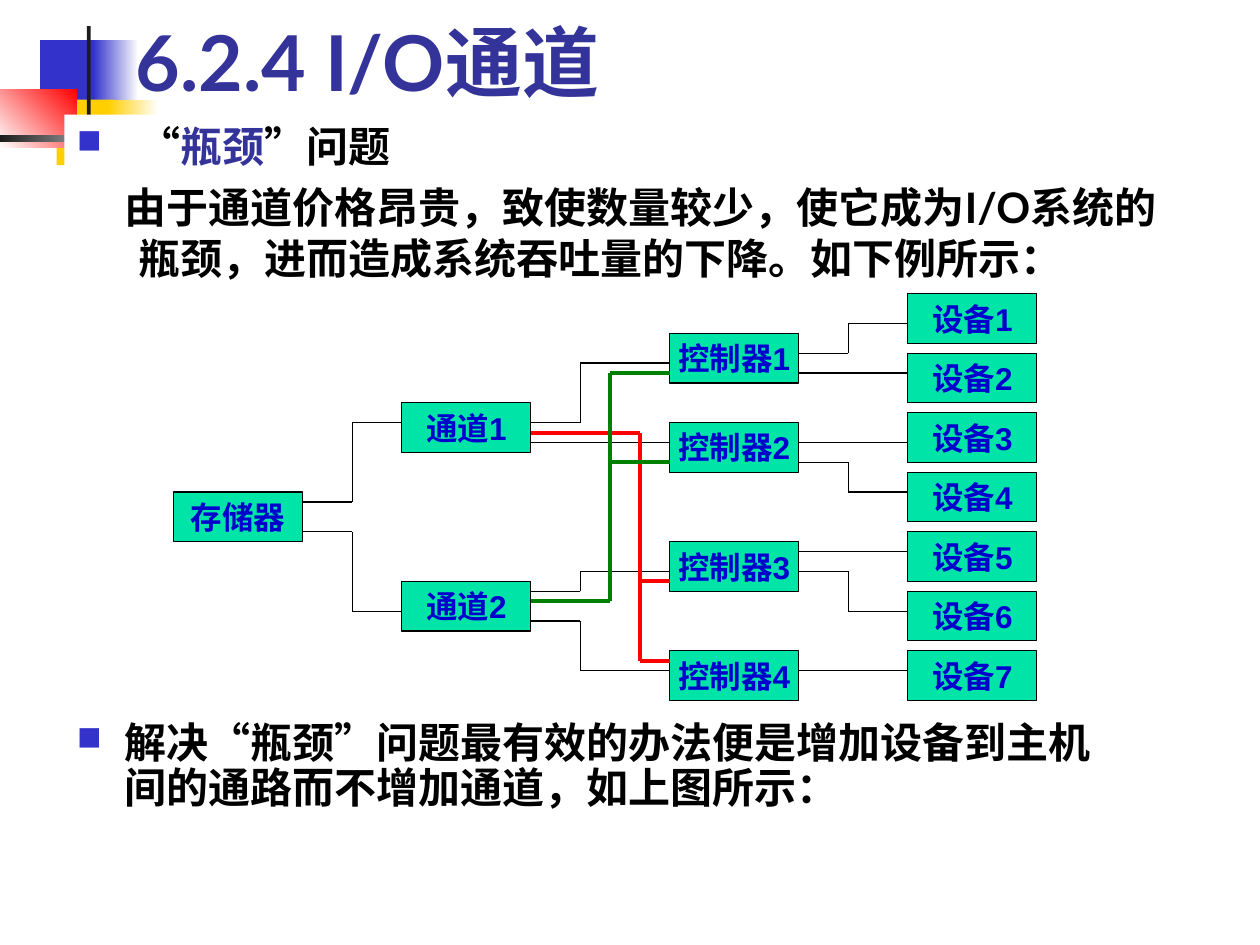
from itertools import pairwise

from lxml.etree import SubElement
from pptx import Presentation
from pptx.dml.color import RGBColor
from pptx.enum.shapes import MSO_CONNECTOR, MSO_SHAPE
from pptx.enum.text import MSO_ANCHOR, PP_ALIGN
from pptx.oxml.ns import qn
from pptx.util import Cm, Pt

# Content: lengths in cm, diagram positions in grid steps
BLUE, NAVY, WHITE, BLACK = "3333CC", "333399", "FFFFFF", "000000"
GOLD, RED, GREEN, CHARCOAL = "FFCF01", "FF0000", "008000", "1C1C1C"
BOX_FILL, BOX_TEXT = "00E4A8", "0000CC"

# left, top, width, height, colours (two make a gradient), angle
ORNAMENTS = [
    (0.81, 0.81, 1.22, 1.32, [BLUE], 0),
    (1.88, 0.81, 0.91, 1.32, [BLUE, WHITE], 0),
    (1.14, 2.01, 1.17, 1.32, [GOLD], 0),
    (2.18, 2.01, 1.02, 1.32, [GOLD, WHITE], 0),
    (0, 1.8, 1.55, 1.17, [WHITE, RED], 45),
    (1.75, 0.53, 0.08, 2.92, [CHARCOAL], 0),
    (0, 2.72, 3.1, 0.15, [CHARCOAL, WHITE], 0),
]
TITLE = [("6.2.4 I/O通道", NAVY)]
PROBLEM = [("“", BLACK), ("瓶颈", NAVY), ("”问题", BLACK)]
CAUSE = [("由于通道价格昂贵，致使数量较少，使它成为I/O系统的瓶颈，"
          "进而造成系统吞吐量的下降。如下例所示：", BLACK)]
REMEDY = [("解决“瓶颈”问题最有效的办法便是增加设备到主机间的通路而不增加通道，"
           "如上图所示：", BLACK)]

STEP, GRID_LEFT, GRID_TOP = 0.2, 3.5, 5.92
BOX_WIDTH, BOX_HEIGHT = 13, 5
# column, {label: row}
COLUMNS = [
    (0, {"存储器": 20}),
    (23, {"通道1": 11, "通道2": 29}),
    (50, {"控制器1": 4, "控制器2": 13, "控制器3": 25, "控制器4": 36}),
    (74, {f"设备{number + 1}": 6 * number for number in range(7)}),
]
# Corner points (column, row) of each wire
WIRES = [
    [(13, 21), (18, 21), (18, 13), (23, 13)],
    [(13, 24), (18, 24), (18, 32), (23, 32)],
    [(36, 13), (41, 13), (41, 7), (50, 7)],
    [(36, 15), (50, 15)],
    [(36, 30), (41, 30), (41, 28), (50, 28)],
    [(36, 33), (41, 33), (41, 38), (50, 38)],
    [(63, 6), (68, 6), (68, 3), (74, 3)],
    [(63, 8), (74, 8)],
    [(63, 15), (74, 15)],
    [(63, 17), (68, 17), (68, 20), (74, 20)],
    [(63, 26), (74, 26)],
    [(63, 28), (68, 28), (68, 32), (74, 32)],
    [(63, 38), (74, 38)],
]
ADDED_PATHS = [
    (RED, [(36, 14), (47, 14), (47, 37), (50, 37)]),
    (RED, [(47, 29), (50, 29)]),
    (GREEN, [(36, 31), (44, 31), (44, 8), (50, 8)]),
    (GREEN, [(44, 17), (50, 17)]),
]


def rgb(value):
    return RGBColor.from_string(value)


def grid_point(column, row):
    return Cm(GRID_LEFT + column * STEP), Cm(GRID_TOP + row * STEP)


def add_rectangle(left, top, width, height, colors, angle=0):
    shape = slide.shapes.add_shape(MSO_SHAPE.RECTANGLE, left, top, width, height)
    shape.shadow.inherit = False
    shape.line.fill.background()
    if len(colors) == 1:
        shape.fill.solid()
        shape.fill.fore_color.rgb = rgb(colors[0])
    else:
        shape.fill.gradient()
        shape.fill.gradient_angle = angle
        for stop, color in zip(shape.fill.gradient_stops, colors):
            stop.color.rgb = rgb(color)
    return shape


def add_text_box(left, top, width, height, anchor=MSO_ANCHOR.TOP):
    box = slide.shapes.add_textbox(Cm(left), Cm(top), Cm(width), Cm(height))
    box.text_frame.word_wrap = True
    box.text_frame.vertical_anchor = anchor
    return box


def write(paragraph, runs, size, font="Lato"):
    for text, color in runs:
        run = paragraph.add_run()
        run.text = text
        run.font.name = font
        run.font.size = Pt(size)
        run.font.bold = True
        run.font.color.rgb = rgb(color)


def indent(paragraph, margin, first_line, bullet=False):
    properties = paragraph._p.get_or_add_pPr()
    properties.set("marL", str(Cm(margin)))
    properties.set("indent", str(Cm(first_line)))
    if bullet:
        color = SubElement(properties, qn("a:buClr"))
        SubElement(color, qn("a:srgbClr"), val=BLUE)
        SubElement(properties, qn("a:buSzPct"), val="80000")
        SubElement(properties, qn("a:buFont"), typeface="Wingdings")
        SubElement(properties, qn("a:buChar"), char="n")


def add_route(points, color, width):
    for start, end in pairwise(points):
        line = slide.shapes.add_connector(
            MSO_CONNECTOR.STRAIGHT, *grid_point(*start), *grid_point(*end))
        line.line.color.rgb = rgb(color)
        line.line.width = Pt(width)
        SubElement(line._element.spPr, qn("a:effectLst"))


presentation = Presentation()
presentation.slide_width, presentation.slide_height = Cm(25.4), Cm(19.05)
slide = presentation.slides.add_slide(presentation.slide_layouts[6])

# Corner ornament
for *place, colors, angle in ORNAMENTS:
    add_rectangle(*map(Cm, place), colors, angle)

# Title and opening text
title = add_text_box(2.49, 0.13, 21.64, 2.16, MSO_ANCHOR.BOTTOM)
write(title.text_frame.paragraphs[0], TITLE, 44)

body = add_text_box(1.3, 2.31, 22.81, 3.99)
body.fill.solid()
body.fill.fore_color.rgb = rgb(WHITE)
problem = body.text_frame.paragraphs[0]
indent(problem, 1.24, -1.24, bullet=True)
write(problem, PROBLEM, 24)
cause = body.text_frame.add_paragraph()
indent(cause, 1.24, -0.27)
cause.space_before = Pt(6)
write(cause, CAUSE, 24)

# Diagram boxes
for column, boxes in COLUMNS:
    for label, row in boxes.items():
        box = add_rectangle(*grid_point(column, row), Cm(BOX_WIDTH * STEP),
                            Cm(BOX_HEIGHT * STEP), [BOX_FILL])
        box.line.color.rgb = rgb(BLACK)
        box.line.width = Pt(0.75)
        box.text_frame.word_wrap = False
        box.text_frame.vertical_anchor = MSO_ANCHOR.MIDDLE
        paragraph = box.text_frame.paragraphs[0]
        paragraph.alignment = PP_ALIGN.CENTER
        write(paragraph, [(label, BOX_TEXT)], 18, "Arial")

# Wires
for points in WIRES:
    add_route(points, BLACK, 0.75)

# Closing text
closing = add_text_box(1.3, 14.43, 21.59, 2.21)
remedy = closing.text_frame.paragraphs[0]
remedy.line_spacing = 0.9
indent(remedy, 0.97, -0.97, bullet=True)
write(remedy, REMEDY, 24)

# Added paths that relieve the bottleneck
for color, points in ADDED_PATHS:
    add_route(points, color, 2.25)

presentation.save("out.pptx")
